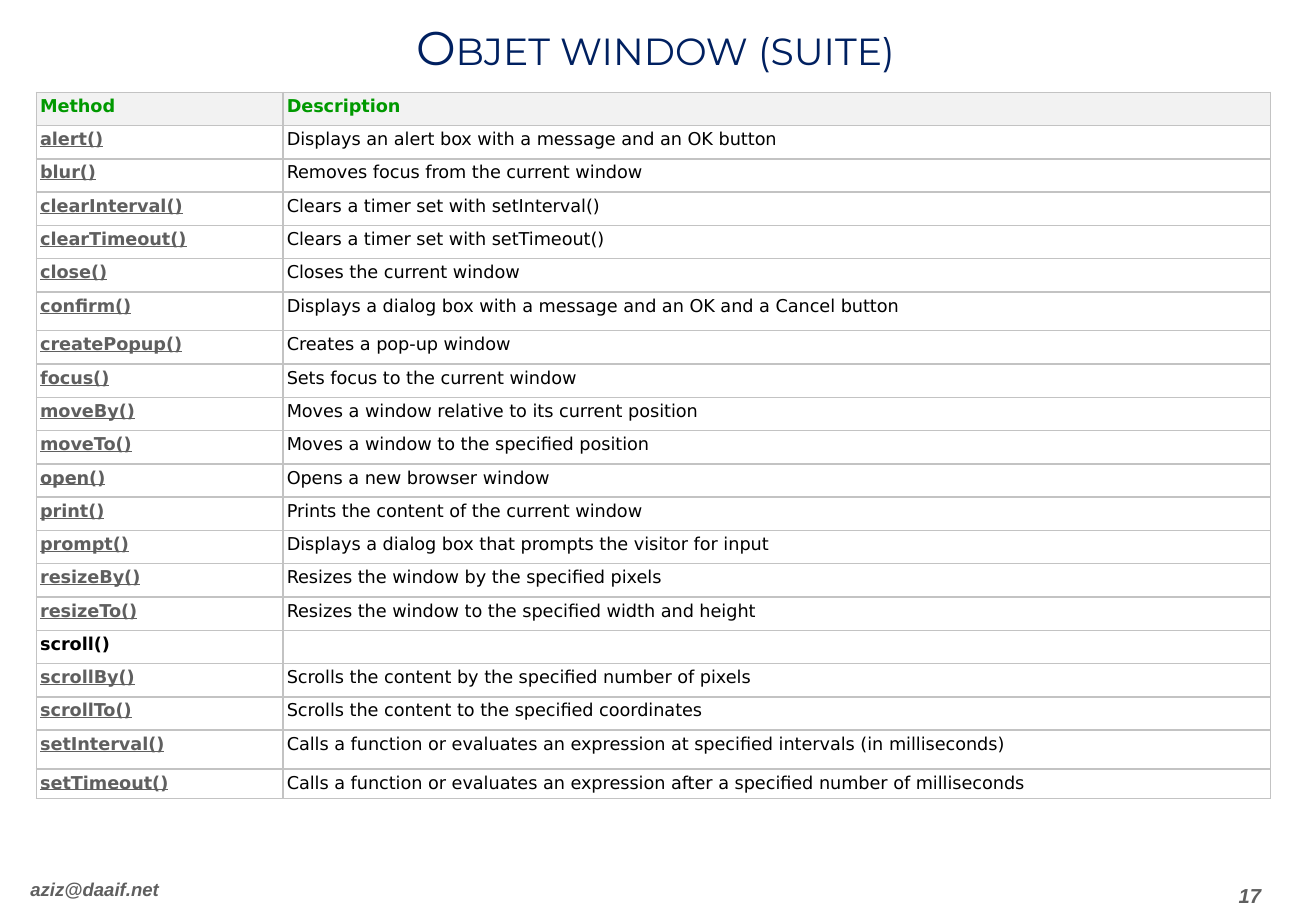
import pptx
import pptx.dml.color
import pptx.enum.text
import pptx.oxml.ns
import pptx.util
from lxml import etree

Pt = pptx.util.Pt
PP_ALIGN = pptx.enum.text.PP_ALIGN
MIDDLE = pptx.enum.text.MSO_ANCHOR.MIDDLE
qn = pptx.oxml.ns.qn

GREY = "5F5F5F"
BORDER = "C3C3C3"
TABLE_FONT = "DejaVu Sans"
TABLE_SIZE = 10.5
ROW_HEIGHT = 19.75
SPECIAL_HEIGHTS = {"confirm()": 23, "setInterval()": 23, "setTimeout()": 17.4}
COLUMN_WIDTHS = (146.2, 585.4)
METHODS = [
    ("alert()", "Displays an alert box with a message and an OK button"),
    ("blur()", "Removes focus from the current window"),
    ("clearInterval()", "Clears a timer set with setInterval()"),
    ("clearTimeout()", "Clears a timer set with setTimeout()"),
    ("close()", "Closes the current window"),
    ("confirm()", "Displays a dialog box with a message and an OK and a Cancel button"),
    ("createPopup()", "Creates a pop-up window"),
    ("focus()", "Sets focus to the current window"),
    ("moveBy()", "Moves a window relative to its current position"),
    ("moveTo()", "Moves a window to the specified position"),
    ("open()", "Opens a new browser window"),
    ("print()", "Prints the content of the current window"),
    ("prompt()", "Displays a dialog box that prompts the visitor for input"),
    ("resizeBy()", "Resizes the window by the specified pixels"),
    ("resizeTo()", "Resizes the window to the specified width and height"),
    ("scroll()", ""),
    ("scrollBy()", "Scrolls the content by the specified number of pixels"),
    ("scrollTo()", "Scrolls the content to the specified coordinates"),
    ("setInterval()", "Calls a function or evaluates an expression at specified intervals (in milliseconds)"),
    ("setTimeout()", "Calls a function or evaluates an expression after a specified number of milliseconds"),
]


def color(value):
    return pptx.dml.color.RGBColor.from_string(value)


def write_text(frame, text, font, size, fill="000000", bold=False, italic=False,
               underline=False, small_caps=False, align=PP_ALIGN.LEFT, line_spacing=None):
    paragraph = frame.paragraphs[0]
    paragraph.alignment = align
    if line_spacing:
        paragraph.line_spacing = line_spacing
    paragraph.space_before = Pt(0)
    if not text:
        etree.SubElement(paragraph._p, qn("a:endParaRPr"), sz=str(int(size * 100)))
        return
    run = paragraph.add_run()
    run.text = text
    run.font.name = font
    run.font.size = Pt(size)
    run.font.bold = bold
    run.font.italic = italic
    run.font.underline = underline
    run.font.color.rgb = color(fill)
    if small_caps:
        run.font._element.set("cap", "small")


def add_title(slide, text):
    title = slide.shapes.title
    title.left, title.top, title.width, title.height = Pt(27.4), Pt(3.6), Pt(722.2), Pt(54)
    frame = title.text_frame
    frame.word_wrap = False
    frame.auto_size = pptx.enum.text.MSO_AUTO_SIZE.NONE
    frame.vertical_anchor = MIDDLE
    write_text(frame, text, "Montserrat", 28, fill="002060", small_caps=True,
               align=PP_ALIGN.CENTER, line_spacing=0.8)


def add_footer(slide, text, left, top, width, height, size, align=PP_ALIGN.LEFT):
    box = slide.shapes.add_textbox(Pt(left), Pt(top), Pt(width), Pt(height))
    frame = box.text_frame
    frame.word_wrap = True
    frame.vertical_anchor = MIDDLE
    frame.margin_left = frame.margin_right = 0
    write_text(frame, text, "Arial", size, fill=GREY, bold=True, italic=True, align=align)


def set_borders(cell):
    properties = cell._tc.get_or_add_tcPr()
    for side in ("a:lnL", "a:lnR", "a:lnT", "a:lnB"):
        line = etree.SubElement(properties, qn(side), w=str(Pt(1)))
        solid = etree.SubElement(line, qn("a:solidFill"))
        etree.SubElement(solid, qn("a:srgbClr"), val=BORDER)


def format_cell(cell, text, background=None, **text_format):
    cell.margin_left = cell.margin_right = cell.margin_top = cell.margin_bottom = Pt(2.2)
    set_borders(cell)
    if background:
        cell.fill.solid()
        cell.fill.fore_color.rgb = color(background)
    else:
        cell.fill.background()
    write_text(cell.text_frame, text, TABLE_FONT, TABLE_SIZE, **text_format)


def add_method_table(slide):
    heights = [ROW_HEIGHT] + [SPECIAL_HEIGHTS.get(method, ROW_HEIGHT) for method, _ in METHODS]
    table = slide.shapes.add_table(len(heights), len(COLUMN_WIDTHS), Pt(21.6), Pt(54.7),
                                   Pt(sum(COLUMN_WIDTHS)), Pt(sum(heights))).table
    table.horz_banding = False
    table.first_row = False
    for column, width in zip(table.columns, COLUMN_WIDTHS):
        column.width = Pt(width)
    for row, height in zip(table.rows, heights):
        row.height = Pt(height)

    for column, heading in enumerate(("Method", "Description")):
        format_cell(table.cell(0, column), heading, background="F2F2F2", fill="009900", bold=True)
    for row, (method, description) in enumerate(METHODS, start=1):
        linked = method != "scroll()"
        format_cell(table.cell(row, 0), method, bold=True, underline=linked,
                    fill=GREY if linked else "000000")
        format_cell(table.cell(row, 1), description)


def main():
    presentation = pptx.Presentation()
    presentation.slide_width, presentation.slide_height = Pt(780), Pt(540)
    slide = presentation.slides.add_slide(presentation.slide_layouts[5])
    add_title(slide, "Objet window (suite)")
    add_method_table(slide)
    add_footer(slide, "aziz@daaif.net", 18, 514, 185, 26, 11)
    add_footer(slide, "17", 701.3, 521.3, 79, 18.7, 12, align=PP_ALIGN.CENTER)
    presentation.save("out.pptx")


if __name__ == "__main__":
    main()
